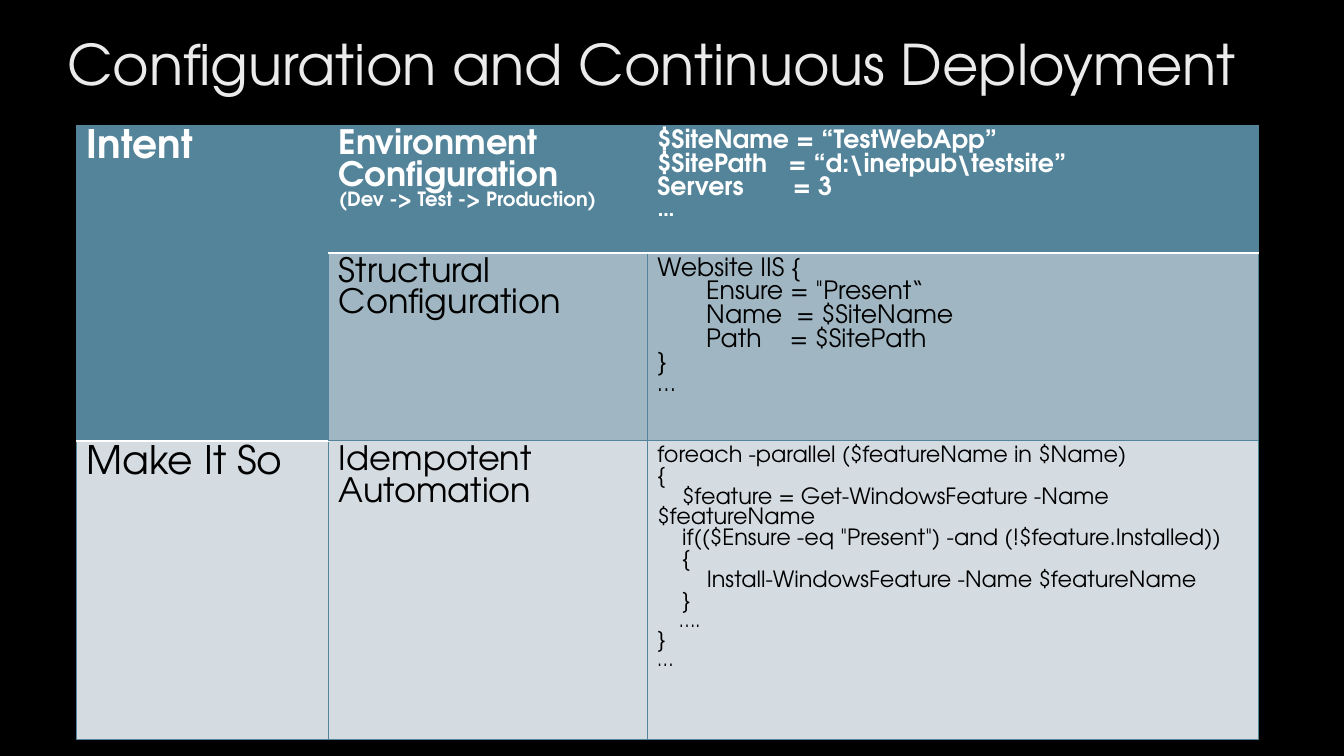
from lxml import etree
from pptx import Presentation
from pptx.dml.color import RGBColor
from pptx.enum.text import MSO_ANCHOR
from pptx.oxml.ns import qn
from pptx.util import Inches, Pt

BOTTOM = MSO_ANCHOR.BOTTOM
FACE = "TeX Gyre Adventor"
BLACK, WHITE, PALE = "000000", "FFFFFF", "EBEBEB"
TEAL, MID_TEAL, LIGHT_TEAL = "54849A", "A0B7C3", "D4DBE1"

HEADLINE = "Configuration and Continuous Deployment"
COLUMN_WIDTHS = [2.5, 3.16, 6.06]
ROW_HEIGHTS = [1.24, 1.83, 2.91]
ROW_LOOKS = [
    {"fill": TEAL, "color": WHITE, "bold": True},
    {"fill": MID_TEAL, "color": BLACK, "bold": False},
    {"fill": LIGHT_TEAL, "color": BLACK, "bold": False},
]
STAGES = [
    [
        [(28, ["Intent"])],
        [(24, ["Environment", "Configuration"]),
         (14, ["(Dev -> Test -> Production)"])],
        [(18, ["$SiteName = “TestWebApp”",
               "$SitePath   = “d:\\inetpub\\testsite”",
               "Servers       = 3"]),
         (16, ["…"])],
    ],
    [
        [],
        [(24, ["Structural Configuration"])],
        [(18, ["Website IIS {",
               "       Ensure = \"Present“",
               "       Name  = $SiteName",
               "       Path    = $SitePath",
               "}"]),
         (16, ["…"])],
    ],
    [
        [(28, ["Make It So"])],
        [(24, ["Idempotent Automation"])],
        [(16, ["foreach -parallel ($featureName in $Name)",
               "{",
               "    $feature = Get-WindowsFeature -Name $featureName",
               "    if(($Ensure -eq \"Present\") -and (!$feature.Installed))",
               "    {",
               "        Install-WindowsFeature -Name $featureName",
               "    }"]),
         (14, ["    …."]),
         (16, ["}"]),
         (14, ["…"])],
    ],
]
WHITE_RULES = {
    (0, 0): "B", (1, 0): "B", (2, 0): "T",
    (0, 1): "B", (0, 2): "B", (1, 1): "T", (1, 2): "T",
}


def rgb(value):
    return RGBColor.from_string(value)


def write(frame, blocks, color, bold):
    lines = [(size, line) for size, group in blocks for line in group]
    for index, (size, line) in enumerate(lines):
        paragraph = frame.paragraphs[0] if index == 0 else frame.add_paragraph()
        run = paragraph.add_run()
        run.text = line
        run.font.color.rgb = rgb(color)
        look = {"name": FACE, "size": Pt(size), "bold": bold}
        for key, value in look.items():
            setattr(run.font, key, value)


def draw_borders(cell, white_side):
    properties = cell._tc.get_or_add_tcPr()
    for side in "LRTB":
        color, width = (WHITE, 1.5) if side == white_side else (TEAL, 0.75)
        border = etree.SubElement(properties, qn("a:ln" + side), w=str(Pt(width)))
        solid = etree.SubElement(border, qn("a:solidFill"))
        etree.SubElement(solid, qn("a:srgbClr"), val=color)


def add_headline(slide):
    box = slide.shapes.add_textbox(
        Inches(0.57), Inches(0.25), Inches(12.19), Inches(0.73))
    layout = {"word_wrap": True, "vertical_anchor": BOTTOM,
              "margin_bottom": Inches(0.02)}
    for key, value in layout.items():
        setattr(box.text_frame, key, value)
    write(box.text_frame, [(40, [HEADLINE])], PALE, False)


def add_stages(slide):
    stages = slide.shapes.add_table(
        len(ROW_HEIGHTS), len(COLUMN_WIDTHS), Inches(0.76), Inches(1.24),
        Inches(sum(COLUMN_WIDTHS)), Inches(sum(ROW_HEIGHTS))).table
    for flag in ("first_row", "horz_banding"):
        setattr(stages, flag, False)
    for column, width in zip(stages.columns, COLUMN_WIDTHS):
        column.width = Inches(width)
    for row, height in zip(stages.rows, ROW_HEIGHTS):
        row.height = Inches(height)
    stages.cell(0, 0).merge(stages.cell(1, 0))
    for r, (stage, look) in enumerate(zip(STAGES, ROW_LOOKS)):
        for c, blocks in enumerate(stage):
            cell = stages.cell(r, c)
            draw_borders(cell, WHITE_RULES.get((r, c)))
            cell.fill.solid()
            cell.fill.fore_color.rgb = rgb(look["fill"])
            write(cell.text_frame, blocks, look["color"], look["bold"])


def main():
    deck = Presentation()
    deck.slide_width, deck.slide_height = Inches(13.33), Inches(7.5)
    slide = deck.slides.add_slide(deck.slide_layouts[6])
    slide.background.fill.solid()
    slide.background.fill.fore_color.rgb = rgb(BLACK)
    add_headline(slide)
    add_stages(slide)
    deck.save("out.pptx")


if __name__ == "__main__":
    main()
